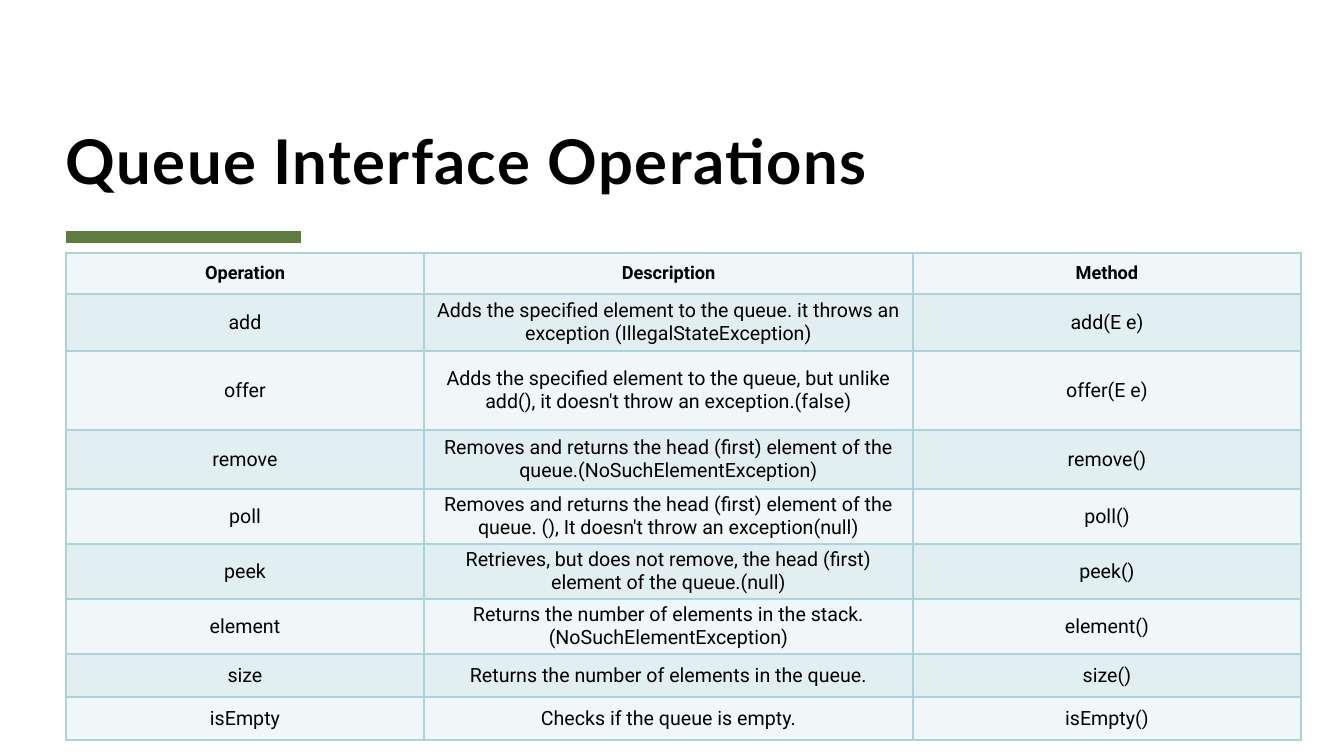
import pptx
import pptx.util
import pptx.dml.color
import pptx.enum.shapes
import pptx.enum.text
import pptx.oxml
import pptx.oxml.ns

# Content
TITLE = "Queue Interface Operations"
HEADER = ("Operation", "Description", "Method")
OPERATIONS = [
    ("add", "Adds the specified element to the queue. it throws an exception (IllegalStateException)", "add(E e)"),
    ("offer", "Adds the specified element to the queue, but unlike add(), it doesn't throw an exception.(false)", "offer(E e)"),
    ("remove", "Removes and returns the head (first) element of the queue.(NoSuchElementException)", "remove()"),
    ("poll", "Removes and returns the head (first) element of the queue. (), It doesn't throw an exception(null)", "poll()"),
    ("peek", "Retrieves, but does not remove, the head (first) element of the queue.(null)", "peek()"),
    ("element", "Returns the number of elements in the stack.(NoSuchElementException)", "element()"),
    ("size", "Returns the number of elements in the queue.", "size()"),
    ("isEmpty", "Checks if the queue is empty.", "isEmpty()"),
]

# Layout in px
SLIDE_W, SLIDE_H = 1344, 756
LEFT = 66
TITLE_TOP, TITLE_W, TITLE_H = 65, 1210, 131
ACCENT_Y, ACCENT_W = 237, 235
TABLE_TOP = 253
COLUMN_WIDTHS = (358, 489, 388)
ROW_HEIGHTS = (41, 57, 79, 59, 52, 51, 51, 43, 43)
PAD_X, PAD_Y = 7, 4

# Colours
BLACK, GREEN, BORDER = "000000", "5D7D40", "A9D4DB"
BANDS = ("F1F7F8", "E2EFF1")


def px(length):
    return pptx.util.Emu(round(length * 914400 / 100.8))


def color(hex_code):
    return pptx.dml.color.RGBColor.from_string(hex_code)


def add_run(paragraph, text, font, size, bold):
    run = paragraph.add_run()
    run.text = text
    run.font.name = font
    run.font.size = pptx.util.Pt(size)
    run.font.bold = bold
    run.font.color.rgb = color(BLACK)
    return run


def set_borders(cell):
    properties = cell._tc.get_or_add_tcPr()
    for position, side in enumerate(("lnL", "lnR", "lnT", "lnB")):
        properties.insert(position, pptx.oxml.parse_xml(
            f'<a:{side} {pptx.oxml.ns.nsdecls("a")} w="12700"><a:solidFill>'
            f'<a:srgbClr val="{BORDER}"/></a:solidFill></a:{side}>'))


deck = pptx.Presentation()
deck.slide_width, deck.slide_height = px(SLIDE_W), px(SLIDE_H)
slide = deck.slides.add_slide(deck.slide_layouts[6])

# Accent line under the title
accent = slide.shapes.add_connector(
    pptx.enum.shapes.MSO_CONNECTOR.STRAIGHT,
    px(LEFT), px(ACCENT_Y), px(LEFT + ACCENT_W), px(ACCENT_Y))
accent.line.color.rgb = color(GREEN)
accent.line.width = pptx.util.Pt(8)
accent._element.spPr.append(
    pptx.oxml.parse_xml(f'<a:effectLst {pptx.oxml.ns.nsdecls("a")}/>'))

# Title
title = slide.shapes.add_textbox(px(LEFT), px(TITLE_TOP), px(TITLE_W), px(TITLE_H)).text_frame
title.word_wrap = True
title.vertical_anchor = pptx.enum.text.MSO_ANCHOR.BOTTOM
title.margin_left = title.margin_right = title.margin_top = title.margin_bottom = 0
title.paragraphs[0].line_spacing = 0.8
title_run = add_run(title.paragraphs[0], TITLE, "Lato", 44, True)
title_run.font._element.set("spc", "100")

# Table of operations
operations = slide.shapes.add_table(
    len(ROW_HEIGHTS), len(COLUMN_WIDTHS), px(LEFT), px(TABLE_TOP),
    px(sum(COLUMN_WIDTHS)), px(sum(ROW_HEIGHTS))).table
for column, width in zip(operations.columns, COLUMN_WIDTHS):
    column.width = px(width)
for row, height in zip(operations.rows, ROW_HEIGHTS):
    row.height = px(height)

for row_index, entry in enumerate([HEADER] + OPERATIONS):
    is_header = row_index == 0
    for column_index, text in enumerate(entry):
        cell = operations.cell(row_index, column_index)
        cell.fill.solid()
        cell.fill.fore_color.rgb = color(BANDS[row_index % 2])
        cell.vertical_anchor = pptx.enum.text.MSO_ANCHOR.MIDDLE
        cell.margin_left = cell.margin_right = px(PAD_X)
        cell.margin_top = cell.margin_bottom = px(PAD_Y)
        set_borders(cell)
        paragraph = cell.text_frame.paragraphs[0]
        paragraph.alignment = pptx.enum.text.PP_ALIGN.CENTER
        add_run(paragraph, text, "Roboto", 13 if is_header else 14, is_header)

deck.save("out.pptx")
